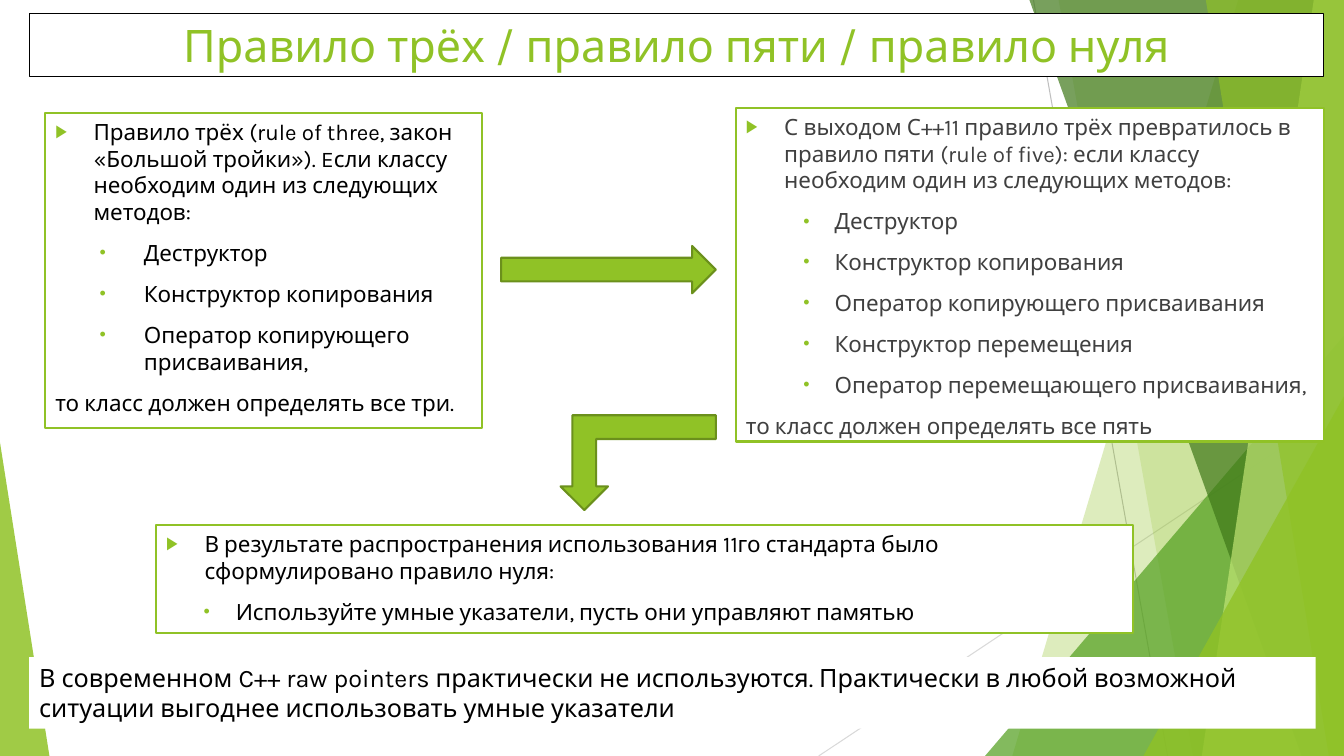
from dataclasses import dataclass
from typing import Optional

from lxml.etree import SubElement
from pptx import Presentation
from pptx.dml.color import RGBColor
from pptx.enum.shapes import MSO_CONNECTOR, MSO_SHAPE
from pptx.enum.text import MSO_ANCHOR, PP_ALIGN
from pptx.oxml.ns import qn
from pptx.util import Inches, Pt

WIDTH, HEIGHT = 13.33, 7.5


@dataclass(frozen=True)
class Theme:
    font: str = "Karla"
    green: str = "90C226"
    edge: str = "6B901C"
    leaf: str = "54A021"
    dark: str = "3F7819"
    pale: str = "C0E474"
    white: str = "FFFFFF"
    black: str = "000000"
    gray: str = "404040"
    title: int = 32
    note: int = 18
    body: int = 16
    rule: float = 1.5
    thin: float = 0.75


THEME = Theme()


@dataclass(frozen=True)
class Ray:
    start: tuple[float, float]
    end: tuple[float, float]
    color: str


@dataclass(frozen=True)
class Facet:
    """A translucent polygon of the backdrop; alpha is in percent."""
    points: list[tuple[float, float]]
    color: str
    alpha: int


@dataclass(frozen=True)
class Wedge:
    """A translucent triangle; apex is 0 for left and 1 for right."""
    box: tuple[float, float, float, float]
    apex: int
    color: str
    alpha: int


@dataclass(frozen=True)
class Arrow:
    kind: MSO_SHAPE
    box: tuple[float, float, float, float]
    turn: int = 0


@dataclass(frozen=True)
class Line:
    text: str
    mark: str = ""
    left: float = 0
    hang: float = 0
    gap: int = 10


@dataclass(frozen=True)
class Panel:
    box: tuple[float, float, float, float]
    lines: list[Line]
    color: str = THEME.black
    size: int = THEME.body
    border: Optional[str] = THEME.green
    width: float = THEME.rule
    middle: bool = False


def head(text: str) -> Line:
    return Line(text, "▶", 0.38, 0.38)


def items(texts: list[str], left: float, hang: float) -> list[Line]:
    return [Line(text, "•", left, hang) for text in texts]


def slab(top: float, foot: float) -> list[tuple[float, float]]:
    """Corners of a strip between a slanted left side and the right slide edge."""
    return [(top, 0), (WIDTH, 0), (WIDTH, HEIGHT), (foot, HEIGHT)]


RAYS = [
    Ray((10.25, 0), (11.58, HEIGHT), "BFBFBF"),
    Ray((WIDTH, 4.03), (8.12, HEIGHT), "D9D9D9"),
]
DECOR = [
    Facet(slab(12.28, 10.04), THEME.green, 30),
    Facet(slab(10.5, 11.83), THEME.green, 20),
    Wedge((9.77, 3.33, 3.56, 4.17), 1, THEME.leaf, 72),
    Facet(slab(10.21, 12.91), THEME.dark, 70),
    Facet(slab(13.03, 11.92), THEME.pale, 70),
    Facet(slab(11.96, 13.18), THEME.green, 65),
    Wedge((11.34, 3.93, 1.99, 3.57), 1, THEME.green, 80),
    Wedge((0, 4.39, 0.49, 3.11), 0, THEME.green, 85),
]
PANELS = [
    Panel((0.45, 1.12, 4.33, 3.13), [
        head("Правило трёх (rule of three, закон «Большой тройки»). "
             "Eсли классу необходим один из следующих методов:"),
        *items(["Деструктор", "Конструктор копирования",
                "Оператор копирующего присваивания,"], 0.88, 0.44),
        Line("то класс должен определять все три."),
    ]),
    Panel((7.3, 1.07, 5.83, 3.31), [
        head("С выходом С++11 правило трёх превратилось в правило пяти "
             "(rule of five): если классу необходим один из следующих методов:"),
        *items(["Деструктор", "Конструктор копирования",
                "Оператор копирующего присваивания", "Конструктор перемещения",
                "Оператор перемещающего присваивания,"], 0.88, 0.31),
        Line("то класс должен определять все пять"),
    ], THEME.gray),
    Panel((0.29, 0.13, 12.84, 0.63),
          [Line("Правило трёх / правило пяти / правило нуля", gap=0)],
          THEME.green, THEME.title, THEME.black, THEME.thin, True),
    Panel((1.55, 5.21, 9.69, 1.07), [
        head("В результате распространения использования 11го стандарта "
             "было сформулировано правило нуля:"),
        *items(["Используйте умные указатели, пусть они управляют памятью"],
               0.69, 0.32),
    ]),
    Panel((0.29, 6.52, 12.76, 0.71), [
        Line("В современном C++ raw pointers практически не используются. "
             "Практически в любой возможной ситуации выгоднее использовать "
             "умные указатели", gap=0),
    ], size=THEME.note, border=None),
]
ARROWS = [
    Arrow(MSO_SHAPE.RIGHT_ARROW, (4.97, 2.44, 2.13, 0.47)),
    Arrow(MSO_SHAPE.BENT_UP_ARROW, (5.56, 4.12, 1.54, 0.94), 180),
]


def paint(shape, color: str, alpha: int = 100) -> None:
    shape.fill.solid()
    shape.fill.fore_color.rgb = RGBColor.from_string(color)
    if alpha < 100:
        tint = shape.fill._xPr.find(f".//{qn('a:srgbClr')}")
        SubElement(tint, qn("a:alpha"), val=str(alpha * 1000))


def outline(shape, color: str, width: float) -> None:
    shape.line.color.rgb = RGBColor.from_string(color)
    shape.line.width = Pt(width)


def draw_ray(slide, ray: Ray) -> None:
    ends = [Inches(value) for value in (*ray.start, *ray.end)]
    line = slide.shapes.add_connector(MSO_CONNECTOR.STRAIGHT, *ends)
    outline(line, ray.color, THEME.thin)
    SubElement(line._element.spPr, qn("a:effectLst"))


def draw_decor(slide, part: Facet | Wedge) -> None:
    if isinstance(part, Wedge):
        shape = slide.shapes.add_shape(
            MSO_SHAPE.ISOSCELES_TRIANGLE, *map(Inches, part.box))
        shape.adjustments[0] = part.apex
    else:
        points = [(Inches(x), Inches(y)) for x, y in part.points]
        path = slide.shapes.build_freeform(*points[0])
        path.add_line_segments(points[1:])
        shape = path.convert_to_shape()
    shape.shadow.inherit = False
    paint(shape, part.color, part.alpha)
    shape.line.fill.background()


def draw_arrow(slide, arrow: Arrow) -> None:
    shape = slide.shapes.add_shape(arrow.kind, *map(Inches, arrow.box))
    shape.rotation = arrow.turn
    shape.shadow.inherit = False
    paint(shape, THEME.green)
    outline(shape, THEME.edge, THEME.rule)


def add_mark(para, line: Line) -> None:
    """Give the paragraph a hanging bullet."""
    props = para._p.get_or_add_pPr()
    props.set("marL", str(Inches(line.left)))
    props.set("indent", str(-Inches(line.hang)))
    SubElement(SubElement(props, qn("a:buClr")), qn("a:srgbClr"), val=THEME.green)
    SubElement(props, qn("a:buSzPct"), val="80000")
    SubElement(props, qn("a:buFont"), typeface="Arial")
    SubElement(props, qn("a:buChar"), char=line.mark)


def draw_panel(slide, panel: Panel) -> None:
    shape = slide.shapes.add_textbox(*map(Inches, panel.box))
    paint(shape, THEME.white)
    if panel.border:
        outline(shape, panel.border, panel.width)
    frame = shape.text_frame
    frame.word_wrap = True
    frame.vertical_anchor = MSO_ANCHOR.MIDDLE if panel.middle else MSO_ANCHOR.TOP
    frame.text = "\n".join(line.text for line in panel.lines)
    for para, line in zip(frame.paragraphs, panel.lines):
        para.alignment = PP_ALIGN.CENTER if panel.middle else PP_ALIGN.LEFT
        para.space_before = Pt(line.gap)
        if line.mark:
            add_mark(para, line)
        for run in para.runs:
            run.font.name = THEME.font
            run.font.size = Pt(panel.size)
            run.font.color.rgb = RGBColor.from_string(panel.color)


def main() -> None:
    deck = Presentation()
    deck.slide_width, deck.slide_height = Inches(WIDTH), Inches(HEIGHT)
    slide = deck.slides.add_slide(deck.slide_layouts[6])
    for ray in RAYS:
        draw_ray(slide, ray)
    for part in DECOR:
        draw_decor(slide, part)
    for panel in PANELS:
        draw_panel(slide, panel)
    for arrow in ARROWS:
        draw_arrow(slide, arrow)
    deck.save("out.pptx")


if __name__ == "__main__":
    main()
